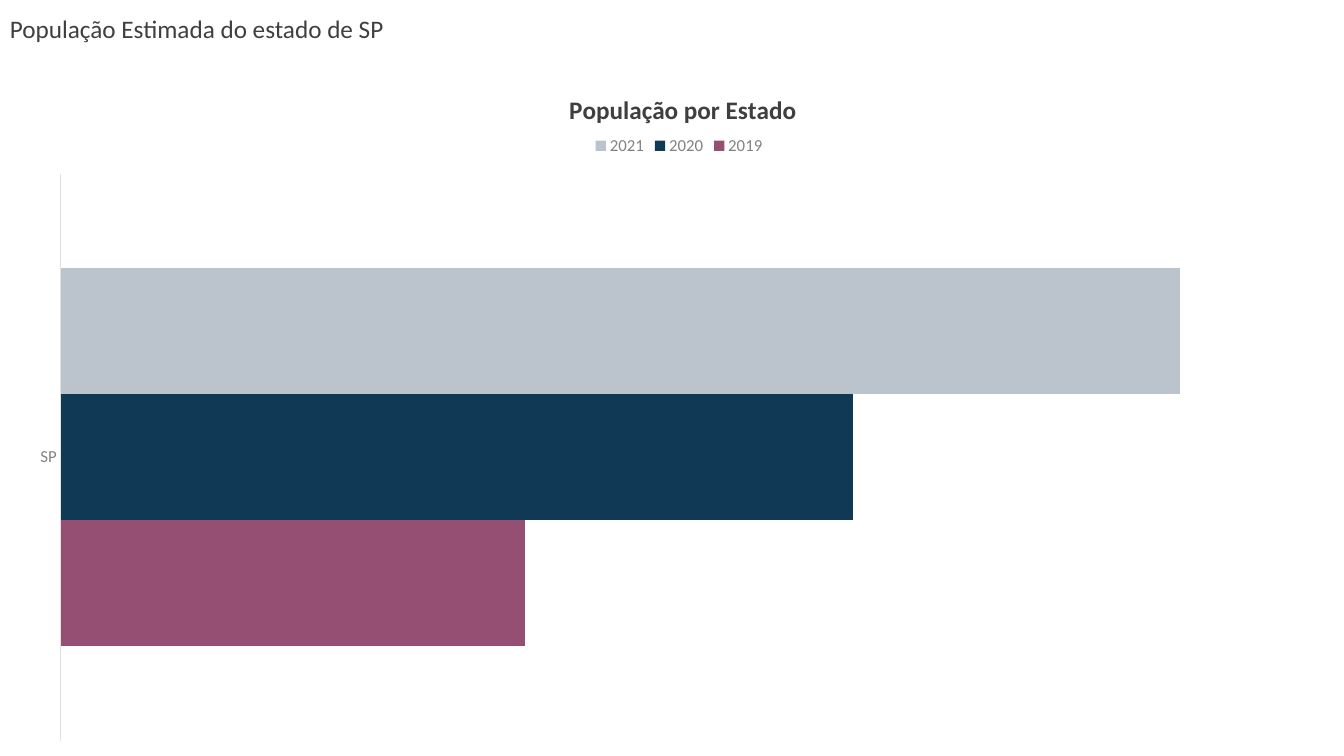
from dataclasses import dataclass

from lxml import etree
from pptx import Presentation
from pptx import util as u
from pptx.chart.data import CategoryChartData
from pptx.dml.color import RGBColor
from pptx.enum import chart as charts
from pptx.enum import text
from pptx.oxml import ns


@dataclass(frozen=True)
class Theme:
    """Colours, font and type sizes of the slide."""

    font: str = "Calibri"
    dark: str = "3F3F3F"
    grey: str = "828282"
    axis: str = "E2E2E2"
    heading_size: float = 18
    title_size: float = 18
    label_size: float = 12


THEME = Theme()
POPULATION = [("2019", 98, "954F72"), ("2020", 99, "0F3955"), ("2021", 100, "BBC3CD")]


def style_font(font, size, color, bold=False):
    """Apply the theme font with a size and colour."""
    font.name = THEME.font
    font.size = u.Pt(size)
    font.bold = bold
    font.color.rgb = RGBColor.from_string(color)


def set_layout(element, index, inner=False, **fractions):
    """Place a chart part by fractions of the chart area."""
    for old in element.findall(ns.qn("c:layout")):
        element.remove(old)
    layout = etree.Element(ns.qn("c:layout"))
    manual = etree.SubElement(layout, ns.qn("c:manualLayout"))
    settings = {"layoutTarget": "inner"} if inner else {}
    settings.update(xMode="edge", yMode="edge", **fractions)
    for name, value in settings.items():
        etree.SubElement(manual, ns.qn(f"c:{name}")).set("val", str(value))
    element.insert(index, layout)


def add_heading(slide, left, top, width, height):
    """Add the slide heading in the given box."""
    frame = slide.shapes.add_textbox(left, top, width, height).text_frame
    frame.word_wrap = True
    frame.auto_size = text.MSO_AUTO_SIZE.SHAPE_TO_FIT_TEXT
    frame.text = "População Estimada do estado de SP"
    style_font(frame.paragraphs[0].runs[0].font, THEME.heading_size, THEME.dark)


def add_population_chart(slide, left, top, width, height):
    """Add the clustered bars of population by year in the given box."""
    data = CategoryChartData()
    data.categories = ["SP"]
    for year, value, _ in POPULATION:
        data.add_series(year, [value])
    chart = slide.shapes.add_chart(
        charts.XL_CHART_TYPE.BAR_CLUSTERED, left, top, width, height, data
    ).chart
    style_font(chart.font, THEME.label_size, THEME.grey)

    plot = chart.plots[0]
    plot.gap_width = 150
    plot.overlap = 0
    plot.vary_by_categories = False
    for series, (_, _, color) in zip(plot.series, POPULATION):
        series.format.fill.solid()
        series.format.fill.fore_color.rgb = RGBColor.from_string(color)

    category_axis = chart.category_axis
    category_axis.major_tick_mark = charts.XL_TICK_MARK.NONE
    category_axis.minor_tick_mark = charts.XL_TICK_MARK.NONE
    category_axis.format.line.color.rgb = RGBColor.from_string(THEME.axis)
    category_axis.format.line.width = u.Pt(0.75)
    style_font(category_axis.tick_labels.font, THEME.label_size, THEME.grey)

    value_axis = chart.value_axis
    value_axis.minimum_scale = 96.58
    value_axis.maximum_scale = 100.44
    value_axis.has_major_gridlines = False
    value_axis.visible = False

    chart.has_title = True
    title = chart.chart_title
    title.text_frame.text = "População por Estado"
    style_font(title.text_frame.paragraphs[0].runs[0].font, THEME.title_size, THEME.dark, True)
    title.include_in_layout = False

    chart.has_legend = True
    legend = chart.legend
    legend.position = charts.XL_LEGEND_POSITION.TOP
    legend.include_in_layout = False
    style_font(legend.font, THEME.label_size, THEME.grey)

    chart_element = title._element.getparent()
    plot_area = chart_element.find(ns.qn("c:plotArea"))
    set_layout(plot_area, 0, inner=True, x=0.035, y=0.164, w=0.95, h=0.814)
    set_layout(title._element, 1, x=0.414, y=0.04)


def main():
    """Build and save the presentation."""
    presentation = Presentation()
    presentation.slide_width = u.Inches(13.33)
    presentation.slide_height = u.Inches(7.5)
    slide = presentation.slides.add_slide(presentation.slide_layouts[6])
    add_heading(slide, u.Inches(0), u.Inches(0.08), u.Inches(13.33), u.Inches(0.5))
    add_population_chart(slide, u.Inches(0.14), u.Inches(0.59), u.Inches(13.19), u.Inches(6.91))
    presentation.save("out.pptx")


if __name__ == "__main__":
    main()
